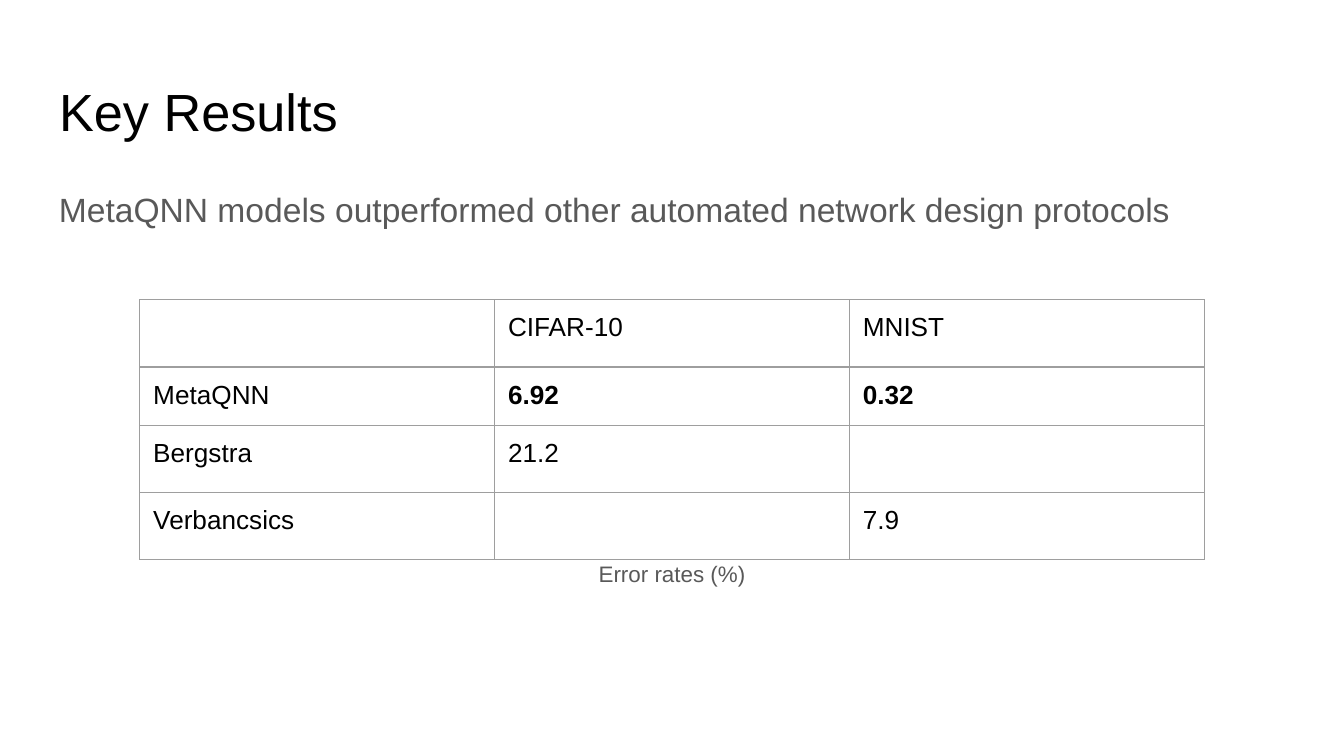
from pptx import Presentation
from pptx.dml.color import RGBColor
from pptx.enum.text import MSO_ANCHOR, MSO_AUTO_SIZE, PP_ALIGN
from pptx.oxml import parse_xml
from pptx.oxml.ns import nsdecls
from pptx.util import Inches, Pt

COLORS = {"title": "000000", "body": "595959", "cell": "000000", "border": "9E9E9E"}
MARGIN = Inches(0.1)


def style_paragraph(paragraph, size, color, bold=False):
    for run in paragraph.runs:
        run.font.name = "Arial"
        run.font.size = Pt(size)
        run.font.bold = bold
        run.font.color.rgb = RGBColor.from_string(COLORS[color])


def set_margins(holder):
    holder.margin_left = holder.margin_right = MARGIN
    holder.margin_top = holder.margin_bottom = MARGIN


prs = Presentation()
prs.slide_width, prs.slide_height = Inches(10), Inches(5.625)
slide = prs.slides.add_slide(prs.slide_layouts[5])

title = slide.shapes.title
title.left, title.top = Inches(0.34), Inches(0.49)
title.width, title.height = Inches(9.32), Inches(0.63)
title_frame = title.text_frame
title_frame.text = "Key Results"
title_frame.auto_size = MSO_AUTO_SIZE.NONE
title_frame.vertical_anchor = MSO_ANCHOR.TOP
set_margins(title_frame)
title_frame.paragraphs[0].alignment = PP_ALIGN.LEFT
style_paragraph(title_frame.paragraphs[0], 28, "title")

body = slide.shapes.add_textbox(Inches(0.34), Inches(1.26), Inches(9.32), Inches(3.74))
body_frame = body.text_frame
body_frame.word_wrap = True
set_margins(body_frame)
finding = body_frame.paragraphs[0]
finding.text = "MetaQNN models outperformed other automated network design protocols"
style_paragraph(finding, 18, "body")
caption = body_frame.add_paragraph()
caption.text = "Error rates (%)"
caption.alignment = PP_ALIGN.CENTER
caption.space_before = Pt(175)
style_paragraph(caption, 12, "body")
for paragraph in (finding, caption):
    paragraph.line_spacing = 1.15

results = [
    ["", "CIFAR-10", "MNIST"],
    ["MetaQNN", "6.92", "0.32"],
    ["Bergstra", "21.2", ""],
    ["Verbancsics", "", "7.9"],
]
best = {"6.92", "0.32"}
error_table = slide.shapes.add_table(
    4, 3, Inches(1.04), Inches(2.23), Inches(7.92), Inches(1.68)
).table
error_table.first_row = error_table.horz_banding = False

for row, values in enumerate(results):
    for column, value in enumerate(values):
        cell = error_table.cell(row, column)
        set_margins(cell)
        cell.text = value
        style_paragraph(cell.text_frame.paragraphs[0], 14, "cell", value in best)
        properties = cell._tc.get_or_add_tcPr()
        for side in ("lnL", "lnR", "lnT", "lnB"):
            properties.append(parse_xml(
                f'<a:{side} {nsdecls("a")} w="9525"><a:solidFill>'
                f'<a:srgbClr val="{COLORS["border"]}"/></a:solidFill></a:{side}>'
            ))
        cell.fill.background()

prs.save("out.pptx")
